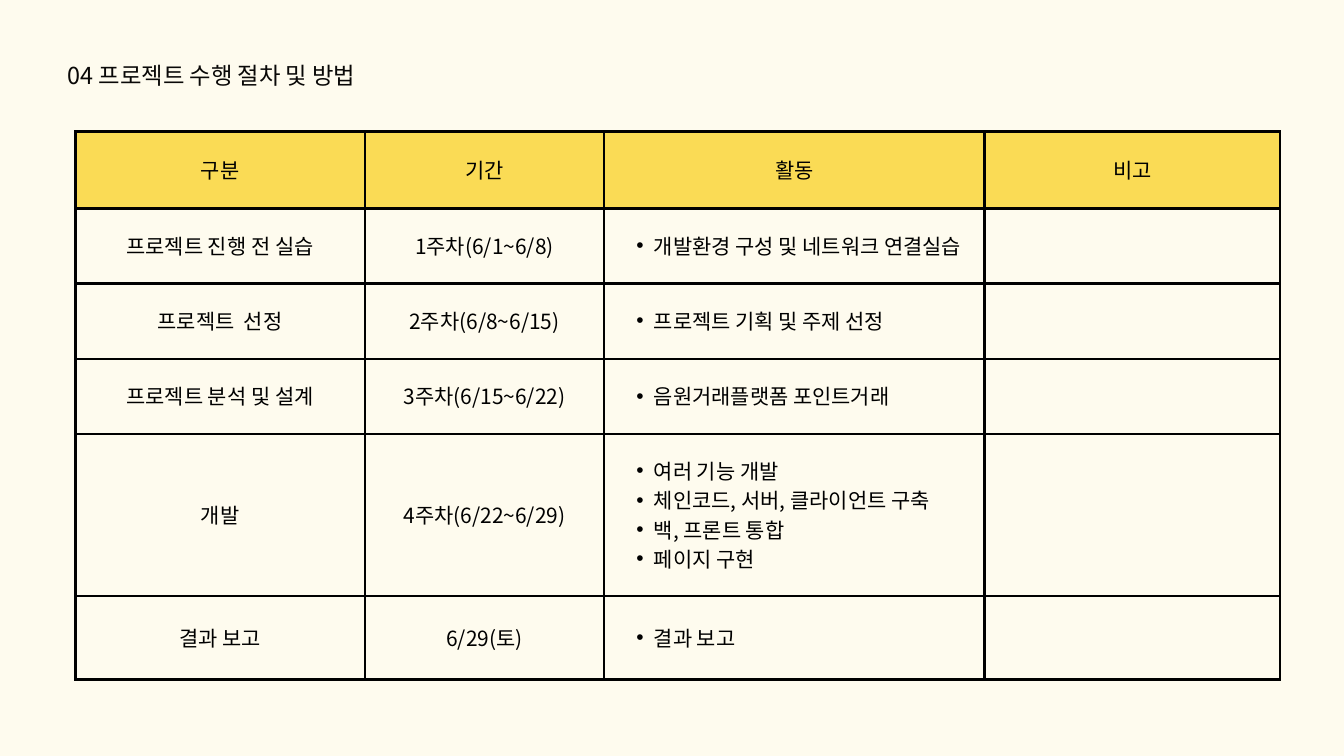
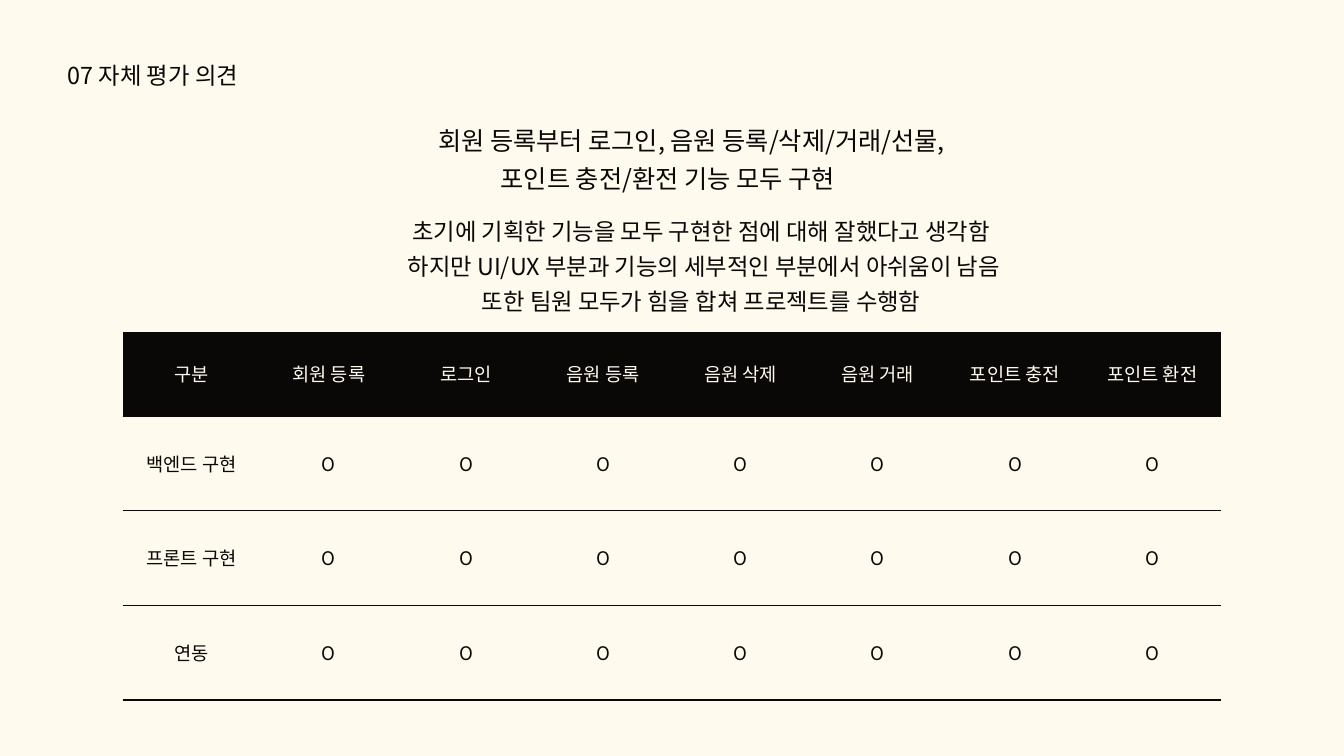
from dataclasses import dataclass
from typing import Any, NamedTuple

import lxml.etree
import pptx
import pptx.dml.color
import pptx.enum.text
import pptx.oxml.ns
import pptx.slide
import pptx.table
import pptx.text.text
import pptx.util

ALIGN = pptx.enum.text.PP_ALIGN
ANCHOR = pptx.enum.text.MSO_ANCHOR
AUTO_SIZE = pptx.enum.text.MSO_AUTO_SIZE
NO_STYLE = "{2D5ABB26-0587-4C30-8999-92F81FD0307C}"
BULLET = "•"

# The page is a grid of 20 columns by 11.25 rows, each cell one inch square.
PAGE_COLUMNS, PAGE_ROWS = 20, 11.25


@dataclass(frozen=True)
class Theme:
    cream: str = "FEFBEE"
    ink: str = "090807"
    black: str = "000000"
    yellow: str = "FADB55"
    sans: str = "Noto Sans CJK SC"
    korean: str = "Noto Sans CJK KR"
    thick: float = 3
    thin: float = 0.75


THEME = Theme()


class Area(NamedTuple):
    column: float
    row: float
    columns: float
    rows: float


class TextStyle(NamedTuple):
    size: float
    leading: float
    color: str = THEME.ink
    face: str = THEME.sans
    align: Any = ALIGN.CENTER
    bulleted: bool = False


class Borders(NamedTuple):
    """Line widths in points, 0 for no line."""
    left: float
    right: float
    top: float
    bottom: float
    color: str = THEME.ink


class CellStyle(NamedTuple):
    text: TextStyle
    borders: Borders
    inset: float
    fill: str | None = None


class Line(NamedTuple):
    text: str
    indent: float = 0


TITLE = TextStyle(25, 35, align=ALIGN.LEFT)
HEADLINE = TextStyle(27, 40.5)
COMMENT = TextStyle(25, 37.5)
PLAN_TEXT = TextStyle(22.4, 31.3, THEME.black, THEME.korean)
PLAN_BULLET = PLAN_TEXT._replace(align=ALIGN.JUSTIFY, bulleted=True)
CHECK_TEXT = TextStyle(20, 28)

PLAN_BORDERS = Borders(*[THEME.thick] * 4, THEME.black)
PLAN_HEAD = CellStyle(PLAN_TEXT, PLAN_BORDERS, 0.21, THEME.yellow)
PLAN_BODY = PLAN_HEAD._replace(fill=THEME.cream)
PLAN_ACTIVITY = PLAN_BODY._replace(text=PLAN_BULLET)
PLAN_EMPTY = PLAN_BODY._replace(fill=None)

CHECK_BODY = CellStyle(CHECK_TEXT, Borders(0, 0, THEME.thin, THEME.thin), 0.2)
CHECK_HEAD = CHECK_BODY._replace(text=CHECK_TEXT._replace(color=THEME.cream),
                                 borders=Borders(0, 0, 0, THEME.thin),
                                 fill=THEME.ink)
CHECK_LAST = CHECK_BODY._replace(borders=Borders(0, 0, THEME.thin, THEME.thick))

PLAN_COLUMNS = [4.31, 3.56, 5.66, 4.4]
PLAN_ROWS = [1.14, 1.12, 1.12, 1.12, 2.41, 1.24]
PLAN_HEADINGS = ["구분", "기간", "활동", "비고"]
PLAN_STAGES = [
    ("프로젝트 진행 전 실습", "1주차(6/1~6/8)", ["개발환경 구성 및 네트워크 연결실습"]),
    ("프로젝트  선정", "2주차(6/8~6/15)", ["프로젝트 기획 및 주제 선정"]),
    ("프로젝트 분석 및 설계", "3주차(6/15~6/22)", ["음원거래플랫폼 포인트거래"]),
    ("개발", "4주차(6/22~6/29)",
     ["여러 기능 개발", "체인코드, 서버, 클라이언트 구축", "백, 프론트 통합", "페이지 구현"]),
    ("결과 보고", "6/29(토)", ["결과 보고"]),
]

CHECK_FEATURES = ["회원 등록", "로그인", "음원 등록", "음원 삭제", "음원 거래",
                  "포인트 충전", "포인트 환전"]
CHECK_TASKS = ["백엔드 구현", "프론트 구현", "연동"]


def color_of(value: str) -> pptx.dml.color.RGBColor:
    return pptx.dml.color.RGBColor.from_string(value)


def grid(cells: float) -> int:
    return pptx.util.Inches(cells)


def apply_formats(target: Any, formats: dict[str, Any]) -> None:
    for name, value in formats.items():
        setattr(target, name, value)


def add_child(parent: Any, tag: str, **attributes: str) -> Any:
    child = lxml.etree.SubElement(parent, pptx.oxml.ns.qn(tag))
    for name, value in attributes.items():
        child.set(name, value)
    return child


def write_lines(frame: pptx.text.text.TextFrame, lines: list[Line],
                style: TextStyle) -> None:
    for index, line in enumerate(lines):
        para = frame.add_paragraph() if index else frame.paragraphs[0]
        apply_formats(para, {"alignment": style.align,
                             "line_spacing": pptx.util.Pt(style.leading),
                             "level": int(style.bulleted)})
        properties = para._p.get_or_add_pPr()
        properties.set("marL", str(grid(0.53 if style.bulleted else line.indent)))
        properties.set("indent", str(grid(-0.26) if style.bulleted else 0))
        if style.bulleted:
            add_child(properties, "a:buFont", typeface="Arial")
            add_child(properties, "a:buChar", char=BULLET)
        span = para.add_run()
        span.text = line.text
        apply_formats(span.font, {"size": pptx.util.Pt(style.size),
                                  "name": style.face})
        span.font.color.rgb = color_of(style.color)
        for tag in ("a:ea", "a:cs"):
            add_child(span._r.get_or_add_rPr(), tag, typeface=style.face)


def add_text(page: pptx.slide.Slide, area: Area, lines: list[Line],
             style: TextStyle) -> None:
    box = page.shapes.add_textbox(*map(grid, area))
    margins = {f"margin_{side}": 0 for side in ("left", "right", "top", "bottom")}
    apply_formats(box.text_frame, {"word_wrap": True, **margins,
                                   "auto_size": AUTO_SIZE.SHAPE_TO_FIT_TEXT})
    write_lines(box.text_frame, lines, style)


def draw_borders(cell: pptx.table._Cell, borders: Borders) -> None:
    """Put the four edge lines ahead of the cell's fill, as the schema asks."""
    properties = cell._tc.get_or_add_tcPr()
    for index, side in enumerate("LRTB"):
        line = add_child(properties, f"a:ln{side}",
                         w=str(pptx.util.Pt(borders[index])))
        if borders[index]:
            fill = add_child(line, "a:solidFill")
            add_child(fill, "a:srgbClr", val=borders.color)
        else:
            add_child(line, "a:noFill")
        properties.insert(index, line)


def fill_cell(cell: pptx.table._Cell, texts: list[str], style: CellStyle) -> None:
    inset = grid(style.inset)
    apply_formats(cell, {"vertical_anchor": ANCHOR.MIDDLE,
                         "margin_left": inset, "margin_right": inset,
                         "margin_top": inset, "margin_bottom": inset})
    if style.fill:
        cell.fill.solid()
        cell.fill.fore_color.rgb = color_of(style.fill)
    else:
        cell.fill.background()
    draw_borders(cell, style.borders)
    write_lines(cell.text_frame, [Line(text) for text in texts], style.text)


def add_table(page: pptx.slide.Slide, column: float, row: float,
              widths: list[float], heights: list[float],
              cells: list[list[tuple[list[str], CellStyle]]]) -> None:
    area = Area(column, row, sum(widths), sum(heights))
    table = page.shapes.add_table(len(heights), len(widths),
                                  *map(grid, area)).table
    apply_formats(table, {"first_row": False, "horz_banding": False})
    table._tbl.tblPr.find(pptx.oxml.ns.qn("a:tableStyleId")).text = NO_STYLE
    for index, width in enumerate(widths):
        table.columns[index].width = grid(width)
    for index, height in enumerate(heights):
        table.rows[index].height = grid(height)
        for position, (texts, style) in enumerate(cells[index]):
            fill_cell(table.cell(index, position), texts, style)


def add_page(deck: Any, title: str) -> pptx.slide.Slide:
    page = deck.slides.add_slide(deck.slide_layouts[6])
    page.background.fill.solid()
    page.background.fill.fore_color.rgb = color_of(THEME.cream)
    add_text(page, Area(1.01, 0.84, 5, 0.49), [Line(title)], TITLE)
    return page


def add_plan_page(deck: Any) -> None:
    page = add_page(deck, "04 프로젝트 수행 절차 및 방법")
    cells = [[([heading], PLAN_HEAD) for heading in PLAN_HEADINGS]]
    for stage, period, activities in PLAN_STAGES:
        cells.append([([stage], PLAN_BODY), ([period], PLAN_BODY),
                      (activities, PLAN_ACTIVITY), ([], PLAN_EMPTY)])
    add_table(page, 1.12, 1.96, PLAN_COLUMNS, PLAN_ROWS, cells)


def add_review_page(deck: Any) -> None:
    page = add_page(deck, "07 자체 평가 의견")
    cells = [[([text], CHECK_HEAD) for text in ["구분", *CHECK_FEATURES]]]
    for task in CHECK_TASKS:
        style = CHECK_LAST if task == CHECK_TASKS[-1] else CHECK_BODY
        cells.append([([text], style)
                      for text in [task, *["O"] * len(CHECK_FEATURES)]])
    columns = len(CHECK_FEATURES) + 1
    add_table(page, 1.83, 4.94, [16.34 / columns] * columns,
              [1.25] + [1.41] * len(CHECK_TASKS), cells)
    add_text(page, Area(3.58, 1.75, 12.71, 1.07), [
        Line("회원 등록부터 로그인, 음원 등록/삭제/거래/선물,", indent=0.71),
        Line("포인트 충전/환전 기능 모두 구현"),
    ], HEADLINE)
    add_text(page, Area(4.08, 3.12, 12.71, 1.49), [
        Line("초기에 기획한 기능을 모두 구현한 점에 대해 잘했다고 생각함"),
        Line("하지만 UI/UX 부분과 기능의 세부적인 부분에서 아쉬움이 남음", indent=0.08),
        Line("또한 팀원 모두가 힘을 합쳐 프로젝트를 수행함"),
    ], COMMENT)


def main() -> None:
    deck = pptx.Presentation()
    apply_formats(deck, {"slide_width": grid(PAGE_COLUMNS),
                         "slide_height": grid(PAGE_ROWS)})
    add_plan_page(deck)
    add_review_page(deck)
    deck.save("out.pptx")


if __name__ == "__main__":
    main()
